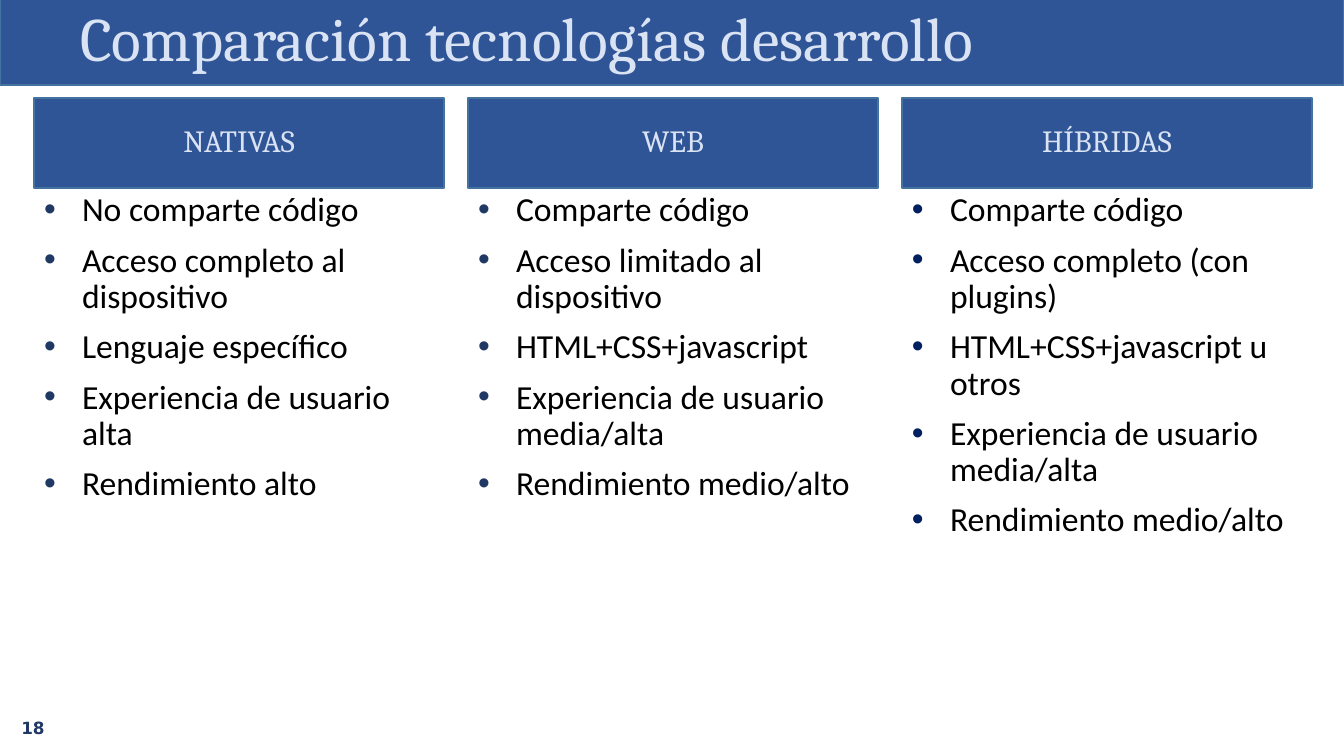
from lxml.etree import SubElement
from pptx import Presentation
from pptx.dml.color import RGBColor
from pptx.enum.shapes import MSO_SHAPE as Shape
from pptx.enum.text import MSO_ANCHOR as Anchor, PP_ALIGN as Align
from pptx.oxml.ns import qn
from pptx.util import Emu, Pt

EMU_PER_PX = 914400 / 100.8
BLUE, EDGE, PALE, NAVY = "2F5597", "43739E", "DAE3F3", "203864"
COLUMN_LEFT, COLUMN_STEP, COLUMN_WIDTH = 34, 434, 410
COLUMNS = [
    ("NATIVAS", NAVY, [
        "No comparte código", "Acceso completo al dispositivo",
        "Lenguaje específico", "Experiencia de usuario alta",
        "Rendimiento alto"]),
    ("WEB", NAVY, [
        "Comparte código", "Acceso limitado al dispositivo",
        "HTML+CSS+javascript", "Experiencia de usuario media/alta",
        "Rendimiento medio/alto"]),
    ("HÍBRIDAS", "002060", [
        "Comparte código", "Acceso completo (con plugins)",
        "HTML+CSS+javascript u otros", "Experiencia de usuario media/alta",
        "Rendimiento medio/alto"]),
]


def px(length):
    """Turn pixels into EMU."""
    return Emu(round(length * EMU_PER_PX))


def color(value):
    """Turn a hex string into a colour."""
    return RGBColor.from_string(value)


def write(para, text, font, size, ink, bold=False):
    """Add one formatted span to a paragraph."""
    span = para.add_run()
    span.text = text
    formats = {"name": font, "size": Pt(size), "bold": bold}
    for name, value in formats.items():
        setattr(span.font, name, value)
    span.font.color.rgb = color(ink)


def set_frame(box, anchor, left=10, top=5, right=10, bottom=5):
    """Wrap the text of a box and set its anchor and margins."""
    formats = {
        "word_wrap": True, "vertical_anchor": anchor,
        "margin_left": px(left), "margin_top": px(top),
        "margin_right": px(right), "margin_bottom": px(bottom),
    }
    for name, value in formats.items():
        setattr(box.text_frame, name, value)
    return box.text_frame


def add_banner(page, area, text, size, align, left=10):
    """Add a blue rectangle with one line of pale text."""
    box = page.shapes.add_shape(Shape.RECTANGLE, *map(px, area))
    box.shadow.inherit = False
    box.fill.solid()
    box.fill.fore_color.rgb = color(BLUE)
    box.line.color.rgb = color(EDGE)
    box.line.width = Pt(1)
    para = set_frame(box, Anchor.MIDDLE, left).paragraphs[0]
    para.alignment = align
    para.line_spacing = 0.9
    write(para, text, "Cambria", size, PALE)


def add_bullet(para, ink):
    """Give a paragraph a hanging coloured bullet."""
    properties = para._p.get_or_add_pPr()
    properties.set("marL", str(px(38)))
    properties.set("indent", str(px(-38)))
    tint = SubElement(properties, qn("a:buClr"))
    SubElement(tint, qn("a:srgbClr"), val=ink)
    SubElement(properties, qn("a:buFont"), typeface="Arial")
    SubElement(properties, qn("a:buChar"), char="•")


def add_list(page, area, items, bullet_ink):
    """Add a text box with a bulleted list."""
    box = page.shapes.add_textbox(*map(px, area))
    frame = set_frame(box, Anchor.TOP)
    for index, item in enumerate(items):
        para = frame.add_paragraph() if index else frame.paragraphs[0]
        add_bullet(para, bullet_ink)
        para.line_spacing = 0.9
        para.space_before = Pt(10 if index else 0)
        write(para, item, "Calibri", 24, "000000")


def add_page_number(page, number):
    """Add the page number in a clear ellipse."""
    area = (0, 706, 66, 43)
    box = page.shapes.add_shape(Shape.OVAL, *map(px, area))
    box.shadow.inherit = False
    box.fill.background()
    box.line.fill.background()
    para = set_frame(box, Anchor.MIDDLE, 0, 0, 0, 0).paragraphs[0]
    para.alignment = Align.CENTER
    write(para, number, "DejaVu Sans", 12, NAVY, bold=True)


def main():
    """Build the slide and save it."""
    deck = Presentation()
    deck.slide_width, deck.slide_height = px(1344), px(756)
    page = deck.slides.add_slide(deck.slide_layouts[6])
    add_banner(page, (0, -1, 1344, 86), "Comparación tecnologías desarrollo",
               44, Align.LEFT, left=80)
    for index, (heading, bullet_ink, items) in enumerate(COLUMNS):
        left = COLUMN_LEFT + index * COLUMN_STEP
        add_banner(page, (left, 98, COLUMN_WIDTH, 90), heading, 22,
                   Align.CENTER)
        add_list(page, (left, 188, COLUMN_WIDTH, 469), items, bullet_ink)
    add_page_number(page, "18")
    deck.save("out.pptx")


if __name__ == "__main__":
    main()
